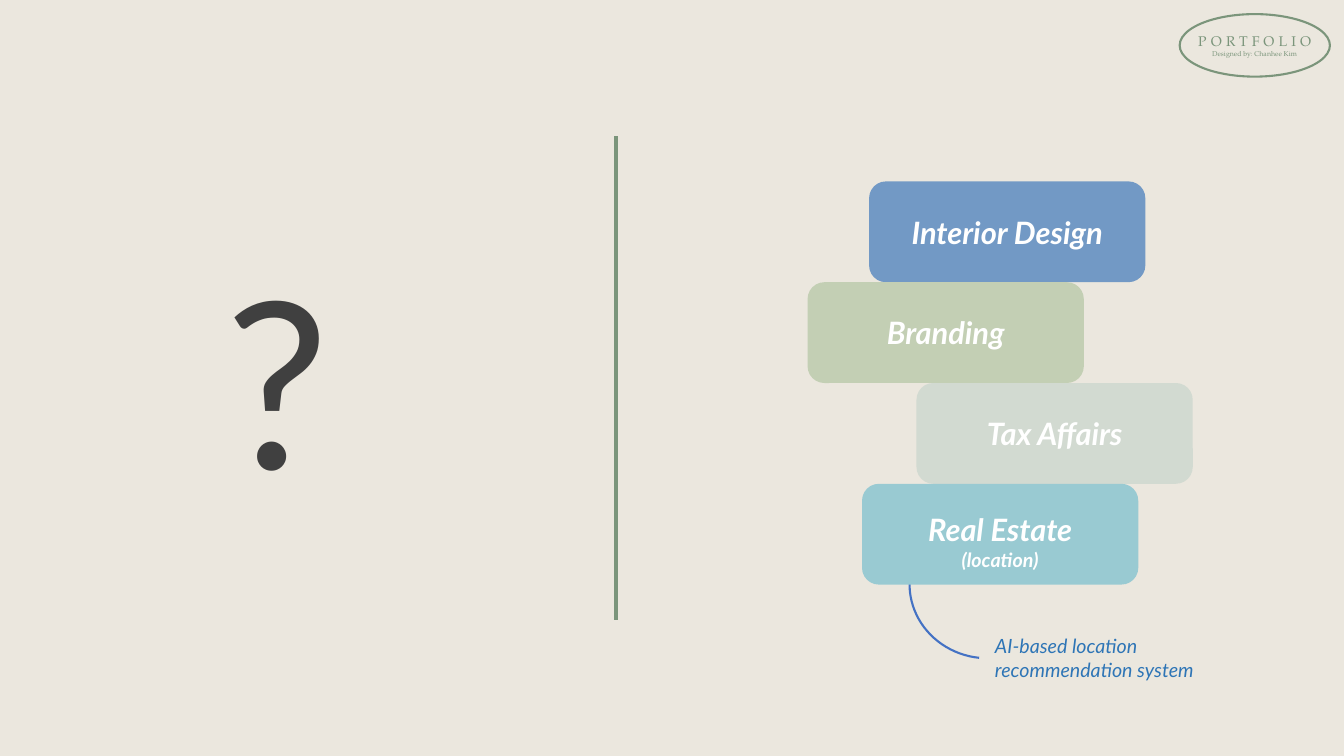
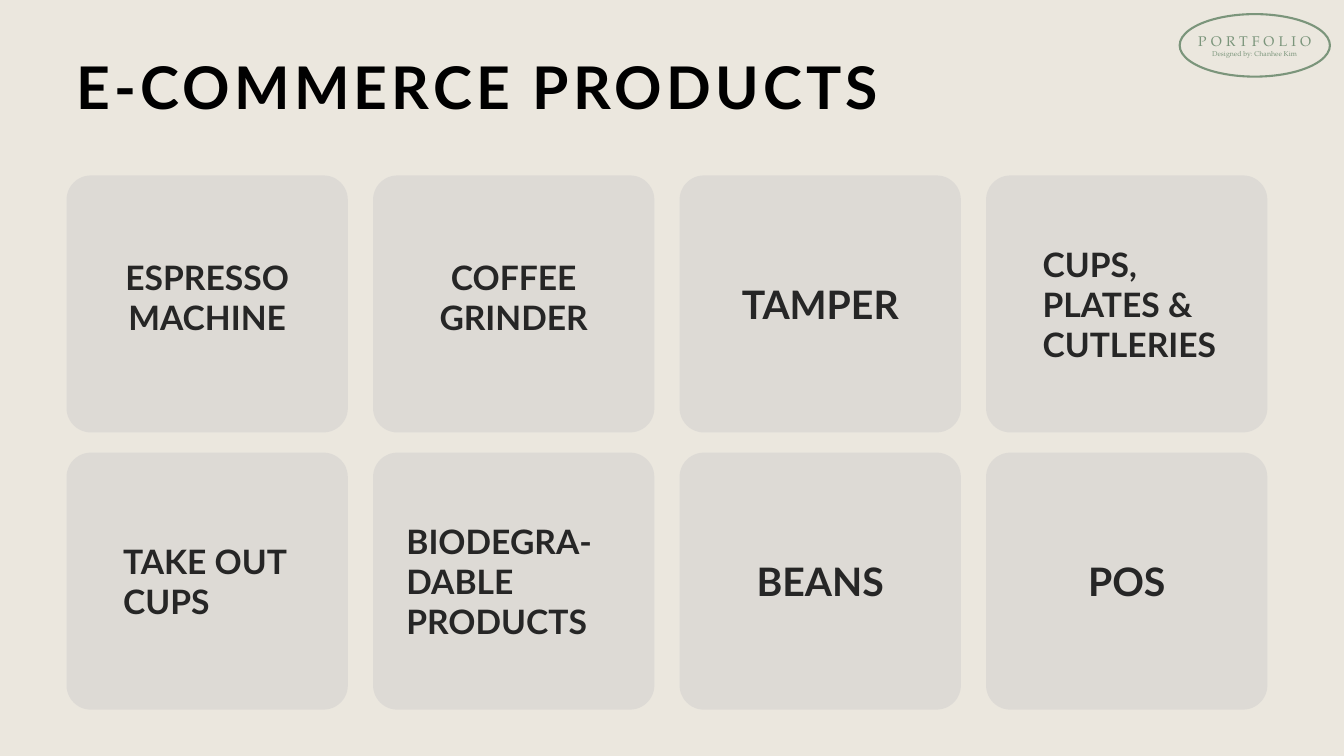
"""Builds two portfolio slides: a business overview and a product grid."""
from lxml import etree
from pptx import Presentation
from pptx.dml.color import RGBColor
from pptx.enum.shapes import MSO_CONNECTOR, MSO_SHAPE
from pptx.enum.text import MSO_ANCHOR, PP_ALIGN
from pptx.oxml.ns import qn
from pptx.util import Inches, Pt

LEFT, CENTER = PP_ALIGN.LEFT, PP_ALIGN.CENTER
MIDDLE = MSO_ANCHOR.MIDDLE
ROUNDED, OVAL, ARC = MSO_SHAPE.ROUNDED_RECTANGLE, MSO_SHAPE.OVAL, MSO_SHAPE.ARC
STRAIGHT = MSO_CONNECTOR.STRAIGHT
SANS, SERIF = "Lato", "TeX Gyre Pagella"
COLORS = {
    "background": "EBE7DE",
    "sage": "7B957B",
    "arc": "4472C4",
    "note": "2E75B6",
    "question": "404040",
    "white": "FFFFFF",
    "black": "000000",
    "card": "D0CECE",
    "card text": "262626",
    "interior": "7299C5",
    "branding": "C3CFB4",
    "tax": "D2DAD1",
    "estate": "99CAD2",
}
COLORS = {name: RGBColor.from_string(value) for name, value in COLORS.items()}


def write(frame, text, size, color, align=LEFT, face=SANS, bold=False, italic=False, spacing=0):
    """Append one paragraph to a text frame, filling its empty first one."""
    para = frame.paragraphs[0]
    if para.runs:
        para = frame.add_paragraph()
    para.alignment = align
    span = para.add_run()
    span.text = text
    span.font.size = Pt(size)
    span.font.name = face
    span.font.bold = bold
    span.font.italic = italic
    span.font.color.rgb = COLORS[color]
    if spacing:
        span.font._element.set("spc", str(spacing * 100))


def add_box(page, kind, left, top, width, height, fill=None, line=None):
    """Add a flat shape with an optional fill and outline."""
    box = page.shapes.add_shape(kind, Inches(left), Inches(top), Inches(width), Inches(height))
    box.shadow.inherit = False
    if fill:
        box.fill.solid()
        box.fill.fore_color.rgb = COLORS[fill]
    else:
        box.fill.background()
    if line:
        box.line.color.rgb = COLORS[line]
        box.line.width = Pt(1.5)
    else:
        box.line.fill.background()
    box.text_frame.vertical_anchor = MIDDLE
    return box


deck = Presentation()
deck.slide_width, deck.slide_height = Inches(13.33), Inches(7.5)
backdrop = deck.slide_master.background.fill
backdrop.solid()
backdrop.fore_color.rgb = COLORS["background"]

overview = deck.slides.add_slide(deck.slide_layouts[6])
products = deck.slides.add_slide(deck.slide_layouts[5])

arc = add_box(overview, ARC, 9.02, 5.08, 1.53, 1.45, line="arc")
arc.rotation = 185.9

for page in (overview, products):
    badge = add_box(page, OVAL, 11.7, 0.14, 1.49, 0.62, line="sage")
    frame = badge.text_frame
    frame.word_wrap = False
    frame.margin_left = frame.margin_right = frame.margin_top = frame.margin_bottom = 0
    write(frame, "PORTFOLIO", 10, "sage", CENTER, SERIF, spacing=3)
    write(frame, "Designed by: Chanhee Kim", 5, "sage", CENTER, SERIF)

divider = overview.shapes.add_connector(
    STRAIGHT, Inches(6.11), Inches(1.35), Inches(6.11), Inches(6.15))
divider.line.color.rgb = COLORS["sage"]
divider.line.width = Pt(3)
etree.SubElement(divider._element.spPr, qn("a:effectLst"))

question = overview.shapes.add_textbox(Inches(2.14), Inches(2.3), Inches(1.37), Inches(2.89))
question.text_frame.word_wrap = False
write(question.text_frame, "?", 166, "question")

services = [
    ("Interior Design", 8.62, "interior"),
    ("Branding", 8.01, "branding"),
    ("Tax Affairs", 9.09, "tax"),
    ("Real Estate", 8.55, "estate"),
]
for row, (name, left, color) in enumerate(services):
    block = add_box(overview, ROUNDED, left, 1.8 + row, 2.74, 1, fill=color)
    write(block.text_frame, name, 22, "white", CENTER, bold=True, italic=True)
block.text_frame.margin_top = Inches(0.18)
write(block.text_frame, "(location)", 14, "white", CENTER, bold=True, italic=True)

note = overview.shapes.add_textbox(Inches(9.77), Inches(6.24), Inches(2.35), Inches(0.57))
note.text_frame.word_wrap = False
for line in ("AI-based location", "recommendation system"):
    write(note.text_frame, line, 14, "note", italic=True)

title = products.shapes.title
title.left, title.top, title.width, title.height = (
    Inches(0.66), Inches(0.45), Inches(8.46), Inches(0.81))
title.text_frame.word_wrap = False
title.text_frame.vertical_anchor = MIDDLE
write(title.text_frame, "E-COMMERCE PRODUCTS", 42, "black", bold=True, spacing=3)

cards = [
    (["ESPRESSO MACHINE"], 24, CENTER, 0.1, 0.19),
    (["COFFEE", "GRINDER"], 24, CENTER, 0.1, 0.19),
    (["TAMPER"], 28, CENTER, 0.1, 0.05),
    (["CUPS,", "PLATES &", "CUTLERIES"], 24, LEFT, 0.49, 0.05),
    (["TAKE OUT CUPS"], 24, LEFT, 0.49, 0.05),
    (["BIODEGRA-DABLE PRODUCTS"], 24, LEFT, 0.26, 0.05),
    (["BEANS"], 28, CENTER, 0.1, 0.05),
    (["POS"], 28, CENTER, 0.1, 0.05),
]
for index, (lines, size, align, margin_left, margin_bottom) in enumerate(cards):
    row, column = divmod(index, 4)
    card = add_box(products, ROUNDED, 0.66 + 3.04 * column, 1.74 + 2.75 * row,
                   2.79, 2.55, fill="card")
    card.adjustments[0] = 0.095
    tint = card._element.spPr.find(qn("a:solidFill")).find(qn("a:srgbClr"))
    etree.SubElement(tint, qn("a:alpha"), val="51000")
    frame = card.text_frame
    frame.word_wrap = True
    frame.margin_left = Inches(margin_left)
    frame.margin_bottom = Inches(margin_bottom)
    for line in lines:
        write(frame, line, size, "card text", align, bold=True)

deck.save("out.pptx")
